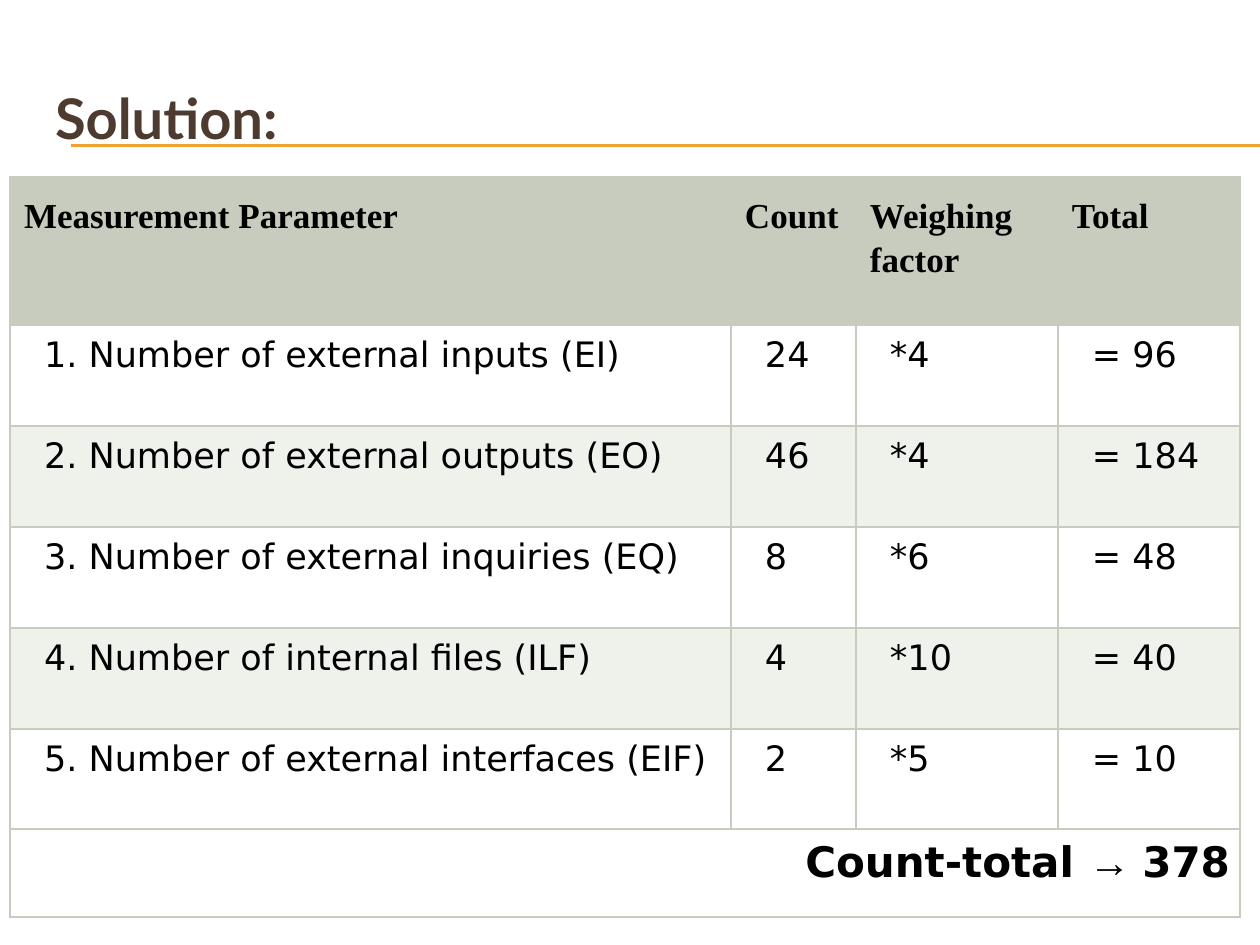
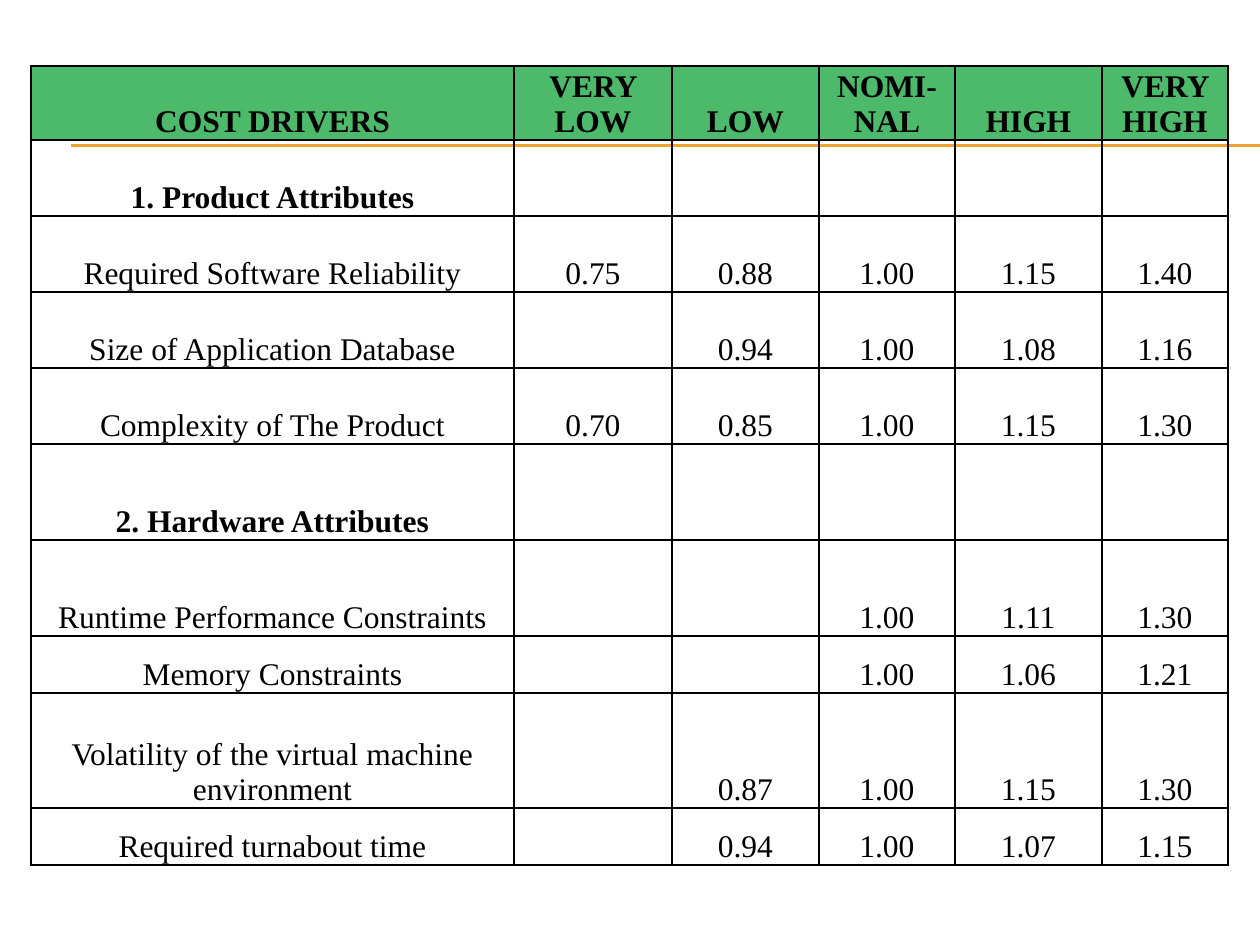
from lxml import etree
from pptx import Presentation
from pptx.dml.color import RGBColor
from pptx.enum.shapes import MSO_CONNECTOR
from pptx.enum.text import MSO_ANCHOR, MSO_AUTO_SIZE, PP_ALIGN
from pptx.oxml.ns import qn
from pptx.util import Pt

STRAIGHT = MSO_CONNECTOR.STRAIGHT
TOP, BOTTOM = MSO_ANCHOR.TOP, MSO_ANCHOR.BOTTOM
LEFT, CENTER, RIGHT = PP_ALIGN.LEFT, PP_ALIGN.CENTER, PP_ALIGN.RIGHT
NO_AUTOFIT = MSO_AUTO_SIZE.NONE

EMU_PER_PX = 914400 / 126
PAGE_WIDTH, PAGE_HEIGHT = 1260, 945
TITLE_ONLY_LAYOUT, BLANK_LAYOUT = 5, 6

BLACK, WHITE = "000000", "FFFFFF"
GOLD, BROWN = "F0A22E", "4E3B30"
SAGE, PALE_SAGE, GREEN = "C7CCBE", "EFF1EB", "4CB96B"


def px(length):
    return round(length * EMU_PER_PX)


def color(hex_string):
    return RGBColor.from_string(hex_string)


def apply(target, values):
    for name, value in values.items():
        setattr(target, name, value)


def margins(left, top, right, bottom):
    return {"margin_left": px(left), "margin_top": px(top),
            "margin_right": px(right), "margin_bottom": px(bottom)}


TITLE_FONT = {"name": "Lato", "size": Pt(32), "bold": True}
SERIF_20_BOLD = {"name": "Times New Roman", "size": Pt(20), "bold": True}
SANS_20 = {"name": "DejaVu Sans", "size": Pt(20), "bold": False}
SANS_24_BOLD = {"name": "DejaVu Sans", "size": Pt(24), "bold": True}
SERIF_18 = {"name": "Times New Roman", "size": Pt(18), "bold": False}
SERIF_18_BOLD = {**SERIF_18, "bold": True}

SPACED = {"alignment": LEFT, "space_before": Pt(6), "space_after": Pt(6)}
CENTERED = {"alignment": CENTER}

PARAMETER_HEADER = {
    "cell": {**margins(14, 14, 14, 14), "vertical_anchor": TOP},
    "para": {"alignment": LEFT, "line_spacing": 1.15},
    "font": SERIF_20_BOLD, "fill": SAGE, "border": SAGE,
}
PARAMETER_BODY = {
    "cell": {**margins(34, 10, 10, 10), "vertical_anchor": TOP},
    "para": SPACED, "font": SANS_20, "fill": WHITE, "border": SAGE,
}
PARAMETER_BAND = {**PARAMETER_BODY, "fill": PALE_SAGE}
PARAMETER_TOTAL = {**PARAMETER_BODY, "para": {**SPACED, "alignment": RIGHT},
                   "font": SANS_24_BOLD}
DRIVER_HEADER = {
    "cell": {**margins(1, 1, 1, 1), "vertical_anchor": BOTTOM},
    "para": CENTERED, "font": SERIF_18_BOLD, "fill": GREEN, "border": BLACK,
}
DRIVER_BODY = {
    "cell": {**margins(4, 1, 4, 1), "vertical_anchor": BOTTOM},
    "para": CENTERED, "font": SERIF_18, "fill": None, "border": BLACK,
}
DRIVER_GROUP = {**DRIVER_BODY, "font": SERIF_18_BOLD}

PARAMETER_HEADINGS = ["Measurement Parameter", "Count", "Weighing factor", "Total"]
PARAMETERS = [
    ["1. Number of external inputs (EI)", "24", "*4", "= 96"],
    ["2. Number of external outputs (EO)", "46", "*4", "= 184"],
    ["3. Number of external inquiries (EQ)", "8", "*6", "= 48"],
    ["4. Number of internal files (ILF)", "4", "*10", "= 40"],
    ["5. Number of external interfaces (EIF)", "2", "*5", "= 10"],
]
COUNT_TOTAL = [("Count-total ", {}), ("→ ", {"name": "Arial"}), ("378", {})]

DRIVER_HEADINGS = ["COST DRIVERS", "VERY LOW", "LOW", "NOMI-NAL", "HIGH", "VERY HIGH"]
DRIVERS = [
    ["1. Product Attributes", "", "", "", "", ""],
    ["Required Software Reliability", "0.75", "0.88", "1.00", "1.15", "1.40"],
    ["Size of Application Database", "", "0.94", "1.00", "1.08", "1.16"],
    ["Complexity of The Product", "0.70", "0.85", "1.00", "1.15", "1.30"],
    ["2. Hardware Attributes", "", "", "", "", ""],
    ["Runtime Performance Constraints", "", "", "1.00", "1.11", "1.30"],
    ["Memory Constraints", "", "", "1.00", "1.06", "1.21"],
    ["Volatility of the virtual machine environment", "", "0.87", "1.00", "1.15", "1.30"],
    ["Required turnabout time", "", "0.94", "1.00", "1.07", "1.15"],
]


def add_span(para, text, font, hex_string):
    span = para.add_run()
    span.text = text
    apply(span.font, font)
    span.font.color.rgb = color(hex_string)


def add_page(deck, layout):
    page = deck.slides.add_slide(deck.slide_layouts[layout])
    for y in (145, 146):
        rule = page.shapes.add_connector(STRAIGHT, px(71), px(y), px(PAGE_WIDTH), px(y))
        rule.line.color.rgb = color(GOLD)
        rule.line.width = Pt(0.75)
        etree.SubElement(rule._element.spPr, qn("a:effectLst"))
    return page


def set_title(page, text):
    box = page.shapes.title
    apply(box, {"left": px(42), "top": px(78), "width": px(1197), "height": px(80)})
    frame = box.text_frame
    apply(frame, {**margins(13, 6, 13, 6), "vertical_anchor": TOP,
                  "word_wrap": True, "auto_size": NO_AUTOFIT})
    para = frame.paragraphs[0]
    para.alignment = LEFT
    add_span(para, text, TITLE_FONT, BROWN)


def set_borders(cell, hex_string):
    properties = cell._tc.get_or_add_tcPr()
    for side in ("lnL", "lnR", "lnT", "lnB"):
        line = etree.SubElement(properties, qn(f"a:{side}"), w=str(Pt(1)))
        fill = etree.SubElement(line, qn("a:solidFill"))
        etree.SubElement(fill, qn("a:srgbClr"), val=hex_string)


def format_cell(cell, style):
    apply(cell, style["cell"])
    set_borders(cell, style["border"])
    if style["fill"]:
        cell.fill.solid()
        cell.fill.fore_color.rgb = color(style["fill"])
    else:
        cell.fill.background()


def write_cell(cell, spans, style):
    para = cell.text_frame.paragraphs[0]
    apply(para, style["para"])
    for text, changes in spans:
        add_span(para, text, {**style["font"], **changes}, BLACK)


def add_grid(page, left, top, widths, heights, rows, styles):
    table = page.shapes.add_table(len(heights), len(widths), px(left), px(top),
                                  px(sum(widths)), px(sum(heights))).table
    apply(table, {"first_row": False, "horz_banding": False})
    for column, width in zip(table.columns, widths):
        column.width = px(width)
    for row, height, texts, style in zip(table.rows, heights, rows, styles):
        row.height = px(height)
        for cell, text in zip(row.cells, texts):
            format_cell(cell, style)
            if text:
                write_cell(cell, [(text, {})], style)
    return table


def add_solution_page(deck):
    page = add_page(deck, TITLE_ONLY_LAYOUT)
    set_title(page, "Solution:")
    bands = [PARAMETER_BAND if index % 2 else PARAMETER_BODY
             for index in range(len(PARAMETERS))]
    table = add_grid(page, 10, 177, [721, 125, 202, 182],
                     [148] + [101] * 4 + [100, 88],
                     [PARAMETER_HEADINGS, *PARAMETERS, [""] * 4],
                     [PARAMETER_HEADER, *bands, PARAMETER_TOTAL])
    last = len(PARAMETERS) + 1
    total = table.cell(last, 0)
    total.merge(table.cell(last, 3))
    write_cell(total, COUNT_TOTAL, PARAMETER_TOTAL)


def add_cost_drivers_page(deck):
    page = add_page(deck, BLANK_LAYOUT)
    styles = [DRIVER_BODY if any(values) else DRIVER_GROUP for _, *values in DRIVERS]
    add_grid(page, 31, 66, [483, 158, 147, 136, 147, 126],
             [74] + [76] * 4 + [96, 96, 57, 115, 57],
             [DRIVER_HEADINGS, *DRIVERS], [DRIVER_HEADER, *styles])


def main():
    deck = Presentation()
    apply(deck, {"slide_width": px(PAGE_WIDTH), "slide_height": px(PAGE_HEIGHT)})
    add_solution_page(deck)
    add_cost_drivers_page(deck)
    deck.save("out.pptx")


if __name__ == "__main__":
    main()
